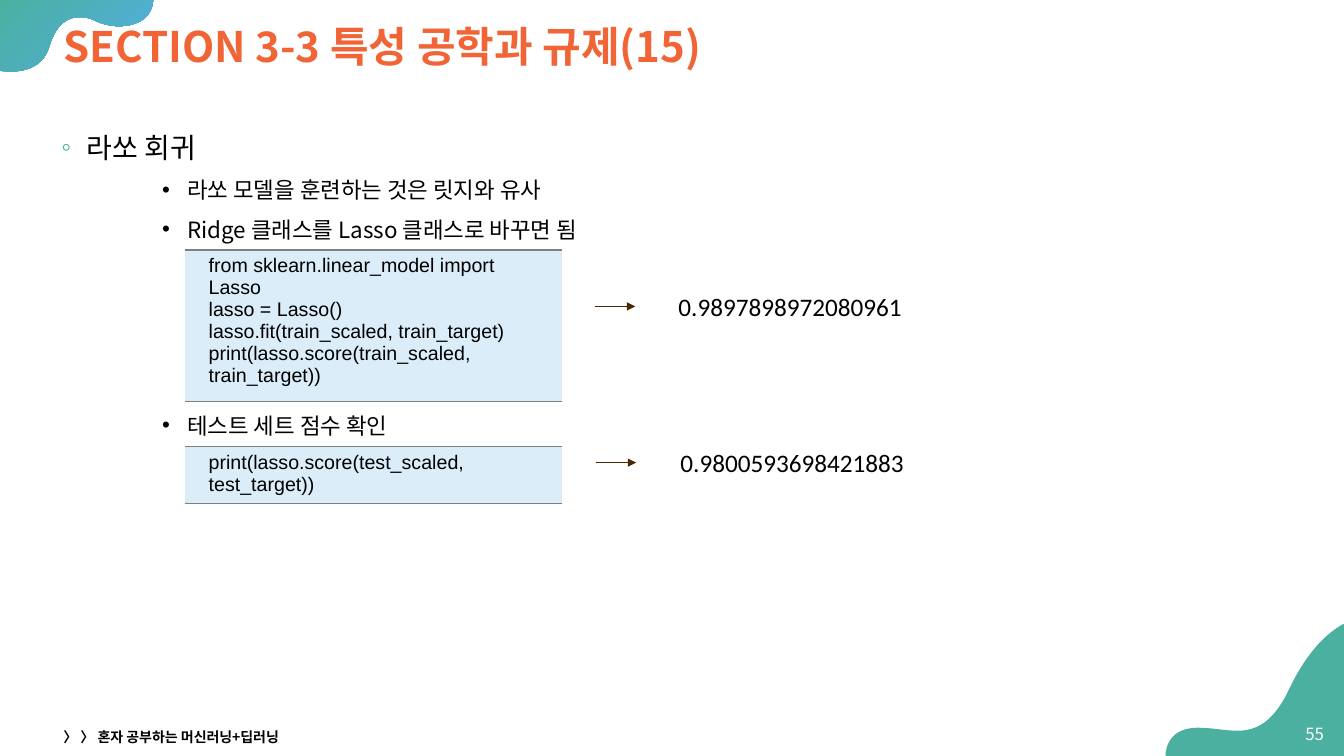
from lxml import etree
from pptx import Presentation
from pptx.dml.color import RGBColor
from pptx.enum.shapes import MSO_CONNECTOR
from pptx.enum.text import MSO_ANCHOR, PP_ALIGN
from pptx.oxml import parse_xml
from pptx.oxml.ns import nsdecls, qn
from pptx.util import Inches, Pt

MIDDLE, TOP = MSO_ANCHOR.MIDDLE, MSO_ANCHOR.TOP
LEFT, RIGHT = PP_ALIGN.LEFT, PP_ALIGN.RIGHT
STRAIGHT = MSO_CONNECTOR.STRAIGHT
KOREAN, CODE, NUMBER = "Noto Sans CJK KR", "Arial", "Calibri"
GREEN, BLUE, ORANGE, BROWN = "4BB0A0", "52AEE1", "F06436", "4D2702"
BLACK, WHITE, CODE_FILL, RULE = "000000", "FFFFFF", "DCEDFA", "7F7F7F"
WIDTH, HEIGHT = 13.33, 7.5
MARGIN = 0.53
UNITS = 1000  # outline units per inch


def color(hex_string):
    return RGBColor.from_string(hex_string)


def add_run(paragraph, text, size, font_name, hex_string, bold=False):
    run = paragraph.add_run()
    run.text = text
    run.font.size = Pt(size)
    run.font.name = font_name
    run.font.bold = bold
    run.font.color.rgb = color(hex_string)
    properties = run._r.get_or_add_rPr()
    east_asian = etree.SubElement(properties, qn("a:ea"))
    east_asian.set("typeface", font_name)


presentation = Presentation()
presentation.slide_width = Inches(WIDTH)
presentation.slide_height = Inches(HEIGHT)
slide = presentation.slides.add_slide(presentation.slide_layouts[6])

# Corner waves: each segment holds one end point or two handles and an end point
top_wave = [
    [(1.52, -0.02)], [(-0.01, -0.02)], [(-0.01, 0.7)],
    [(-0.01, 0.7), (0.04, 0.71), (0.11, 0.71)],
    [(0.24, 0.71), (0.43, 0.67), (0.49, 0.46)],
    [(0.56, 0.23), (0.68, 0.17), (0.79, 0.17)],
    [(0.84, 0.17), (0.89, 0.18), (0.93, 0.2)],
    [(1.01, 0.24), (1.1, 0.26), (1.18, 0.26)],
    [(1.37, 0.26), (1.52, 0.17), (1.52, -0.02)],
]
bottom_wave = [
    [(13.35, 6.18)],
    [(13.35, 6.18), (13.04, 6.29), (12.78, 6.85)],
    [(12.62, 7.18), (12.45, 7.25), (12.27, 7.25)],
    [(12.15, 7.25), (12.02, 7.22), (11.88, 7.22)],
    [(11.54, 7.22), (11.56, 7.51), (11.56, 7.51)],
    [(13.35, 7.51)], [(13.35, 6.18)],
]
for segments, end_color in ((top_wave, BLUE), (bottom_wave, GREEN)):
    ends = [(x * UNITS, y * UNITS) for x, y in (segment[-1] for segment in segments)]
    builder = slide.shapes.build_freeform(*ends[0], scale=Inches(1) / UNITS)
    builder.add_line_segments(ends[1:], close=True)
    wave = builder.convert_to_shape()
    left = min(x for x, y in ends)
    top = min(y for x, y in ends)
    # Turn the straight segments that have handles into curves
    straight_parts = list(wave._element.iter(qn("a:lnTo")))
    for segment, part in zip(segments[1:], straight_parts):
        if len(segment) == 3:
            part.tag = qn("a:cubicBezTo")
            for position, (x, y) in enumerate(segment[:2]):
                handle = etree.Element(qn("a:pt"))
                handle.set("x", str(round(x * UNITS - left)))
                handle.set("y", str(round(y * UNITS - top)))
                part.insert(position, handle)
    wave.shadow.inherit = False
    wave.line.fill.background()
    if end_color == GREEN:
        wave.fill.solid()
        wave.fill.fore_color.rgb = color(GREEN)
    else:
        wave.fill.gradient()
        wave.fill.gradient_angle = 315
        for stop, hex_string in zip(wave.fill.gradient_stops, (GREEN, BLUE)):
            stop.color.rgb = color(hex_string)

# Bullets: text, size, indent, space before, mark, mark colour
bullets = [
    ("라쏘 회귀", 20, 0.25, 0, "◦", GREEN),
    ("라쏘 모델을 훈련하는 것은 릿지와 유사", 16, 1.25, 5, "•", BLACK),
    ("Ridge 클래스를 Lasso 클래스로 바꾸면 됨", 16, 1.25, 5, "•", BLACK),
    ("테스트 세트 점수 확인", 16, 1.25, 117, "•", BLACK),
]
body = slide.shapes.add_textbox(Inches(0.51), Inches(1.18), Inches(12.59), Inches(5.96))
body.text_frame.word_wrap = True
for index, (text, size, indent, space, mark, mark_color) in enumerate(bullets):
    paragraph = body.text_frame.paragraphs[0] if index == 0 else body.text_frame.add_paragraph()
    paragraph.line_spacing = 1.2
    paragraph.space_before = Pt(space)
    properties = paragraph._p.get_or_add_pPr()
    properties.set("marL", str(Inches(indent)))
    properties.set("indent", str(-Inches(0.25)))
    bullet_color = etree.SubElement(properties, qn("a:buClr"))
    etree.SubElement(bullet_color, qn("a:srgbClr")).set("val", mark_color)
    etree.SubElement(properties, qn("a:buFont")).set("typeface", CODE)
    etree.SubElement(properties, qn("a:buChar")).set("char", mark)
    add_run(paragraph, text, size, KOREAN, BLACK)

# Title, page number, footer and the two printed scores
labels = [
    ("SECTION 3-3 특성 공학과 규제(15)", MARGIN, 0.12, 12.34, 0.73, MIDDLE, LEFT, 30, KOREAN, ORANGE, True),
    ("55", 12.79, 7.08, 0.44, 0.4, MIDDLE, RIGHT, 12, KOREAN, WHITE, False),
    ("〉 〉 혼자 공부하는 머신러닝+딥러닝", MARGIN, 7.19, 4.5, 0.24, MIDDLE, LEFT, 10, KOREAN, BLACK, True),
    ("0.9897898972080961", 6.63, 2.84, 2.85, 0.4, TOP, LEFT, 18, NUMBER, BLACK, False),
    ("0.9800593698421883", 6.65, 4.39, 2.85, 0.4, TOP, LEFT, 18, NUMBER, BLACK, False),
]
for text, left, top, width, height, anchor, alignment, size, font_name, hex_string, bold in labels:
    label = slide.shapes.add_textbox(Inches(left), Inches(top), Inches(width), Inches(height))
    label.text_frame.word_wrap = True
    label.text_frame.vertical_anchor = anchor
    paragraph = label.text_frame.paragraphs[0]
    paragraph.alignment = alignment
    if size == 30:
        paragraph.line_spacing = 0.9
    add_run(paragraph, text, size, font_name, hex_string, bold)

# Code blocks, each with an arrow to its score
code_blocks = [
    (2.48, 1.27, 5.9, 3.04, [
        "from sklearn.linear_model import Lasso",
        "lasso = Lasso()",
        "lasso.fit(train_scaled, train_target)",
        "print(lasso.score(train_scaled, train_target))",
    ]),
    (4.43, 0.33, 5.91, 4.59, ["print(lasso.score(test_scaled, test_target))"]),
]
rule_fill = f'<a:solidFill><a:srgbClr val="{RULE}"/></a:solidFill>'
borders = [("lnL", "<a:noFill/>"), ("lnR", "<a:noFill/>"), ("lnT", rule_fill), ("lnB", rule_fill)]
for top, height, arrow_left, arrow_top, code_lines in code_blocks:
    frame = slide.shapes.add_table(1, 1, Inches(1.83), Inches(top), Inches(3.74), Inches(0.19))
    frame.height = Inches(height)
    table = frame.table
    table.first_row = table.horz_banding = False
    cell = table.cell(0, 0)
    cell.margin_left = Inches(0.24)
    cell.fill.solid()
    cell.fill.fore_color.rgb = color(CODE_FILL)
    cell_properties = cell._tc.get_or_add_tcPr()
    for position, (side, fill) in enumerate(borders):
        border = parse_xml(f'<a:{side} {nsdecls("a")} w="{Pt(1)}">{fill}</a:{side}>')
        cell_properties.insert(position, border)
    for index, code_line in enumerate(code_lines):
        paragraph = cell.text_frame.paragraphs[0] if index == 0 else cell.text_frame.add_paragraph()
        add_run(paragraph, code_line, 14, CODE, BLACK)

    arrow = slide.shapes.add_connector(
        STRAIGHT, Inches(arrow_left), Inches(arrow_top), Inches(arrow_left + 0.4), Inches(arrow_top))
    arrow.line.color.rgb = color(BROWN)
    arrow.line.width = Pt(0.75)
    etree.SubElement(arrow.line._get_or_add_ln(), qn("a:tailEnd")).set("type", "triangle")
    etree.SubElement(arrow._element.spPr, qn("a:effectLst"))

presentation.save("out.pptx")
